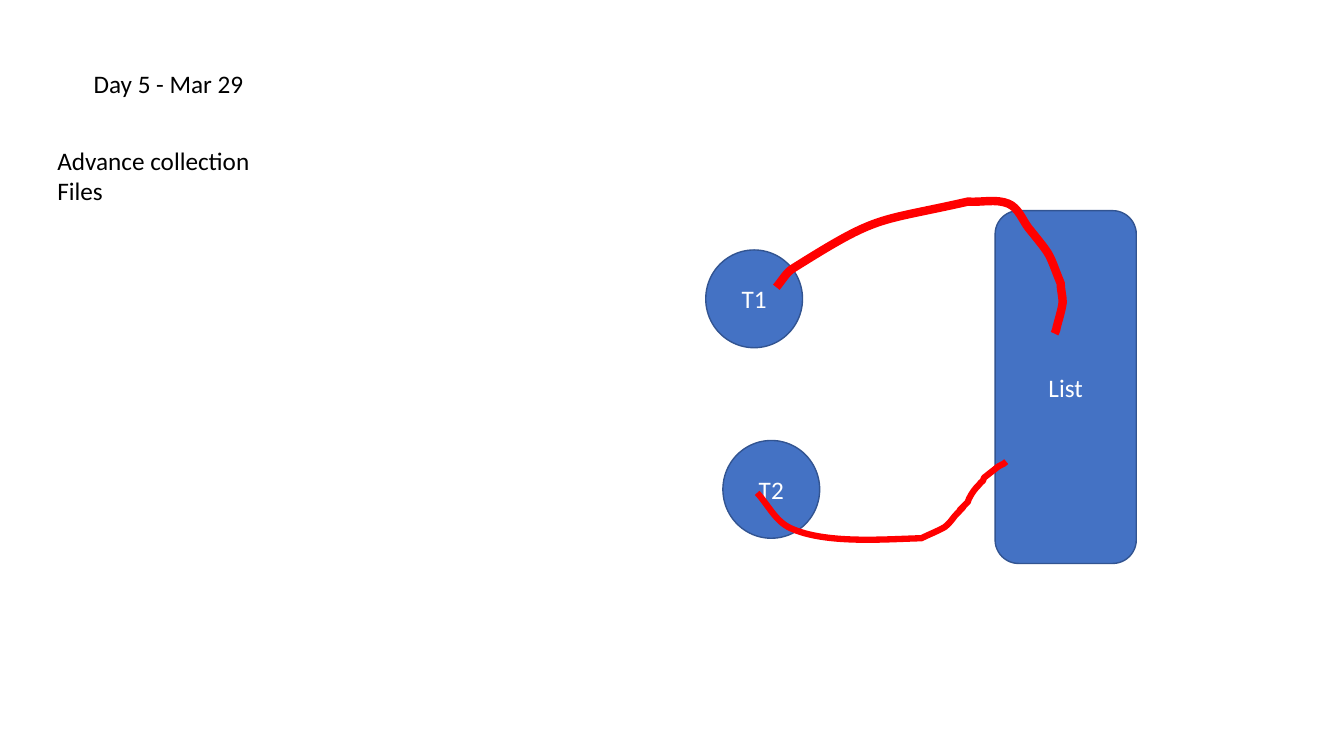
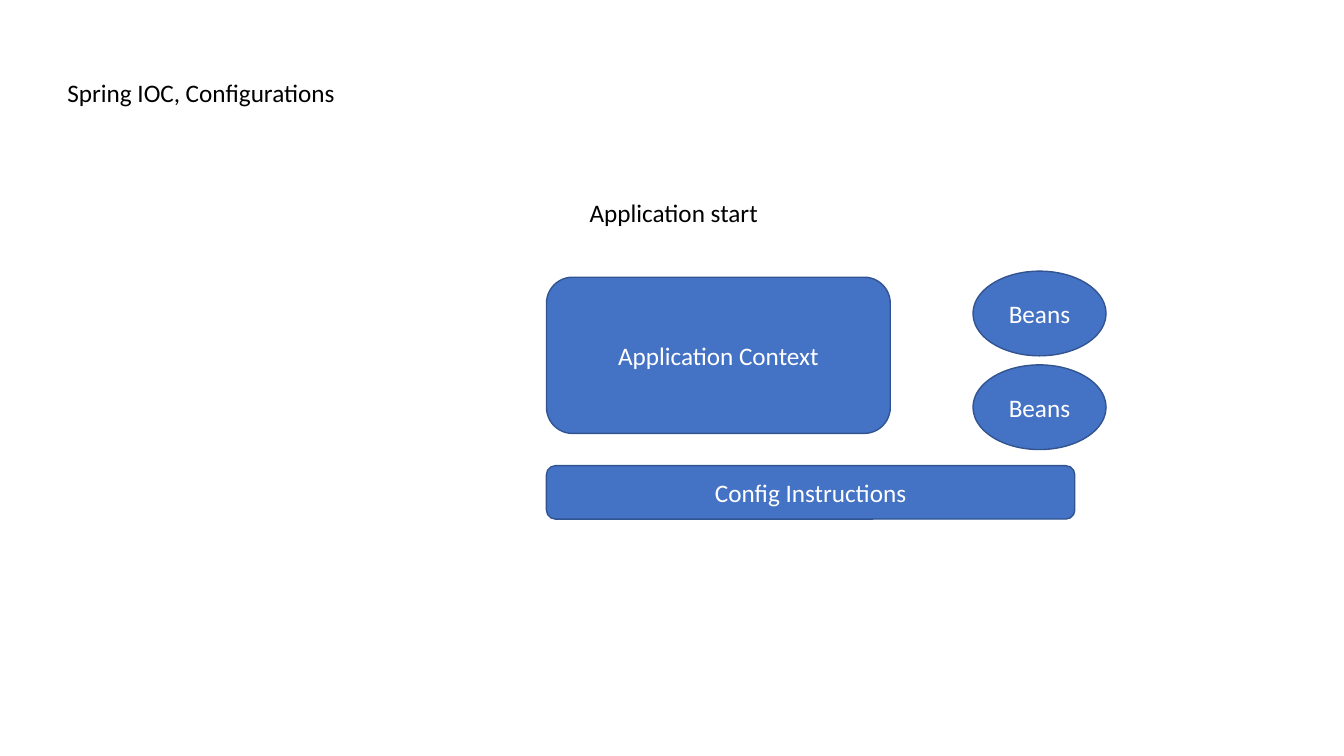
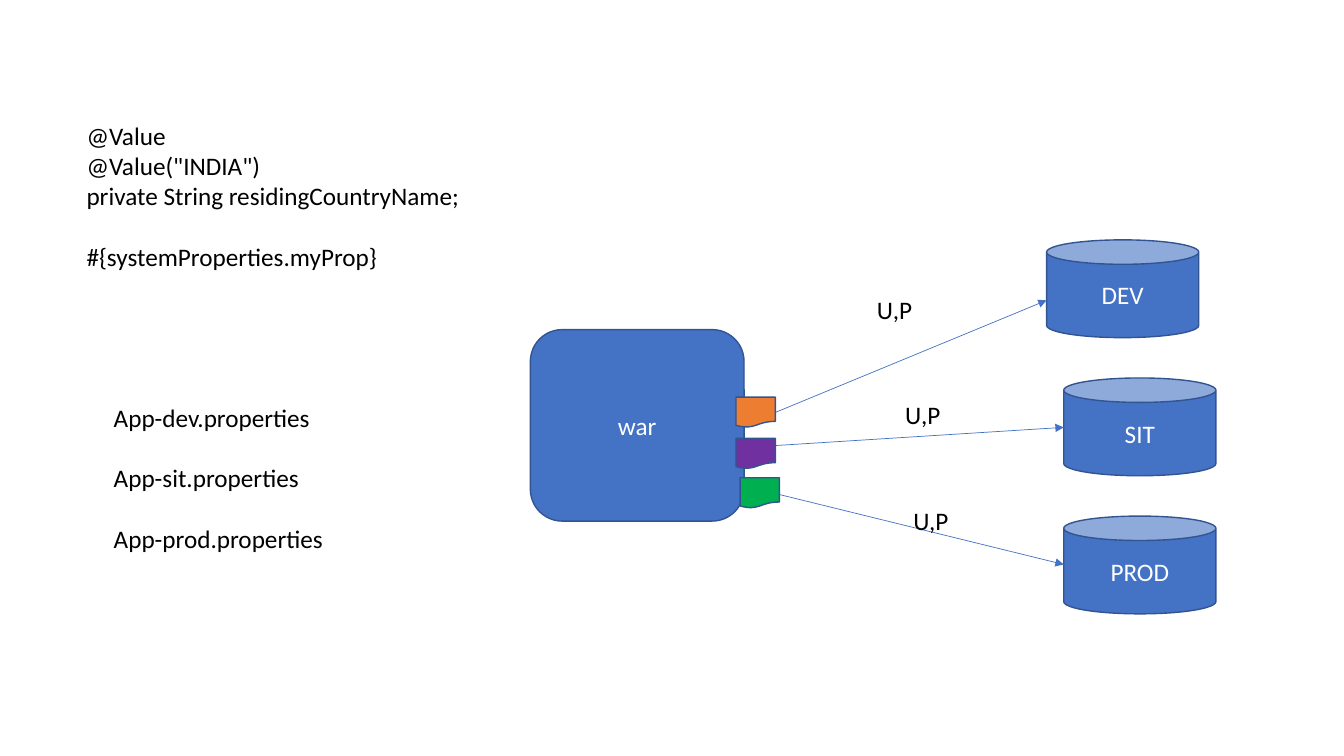
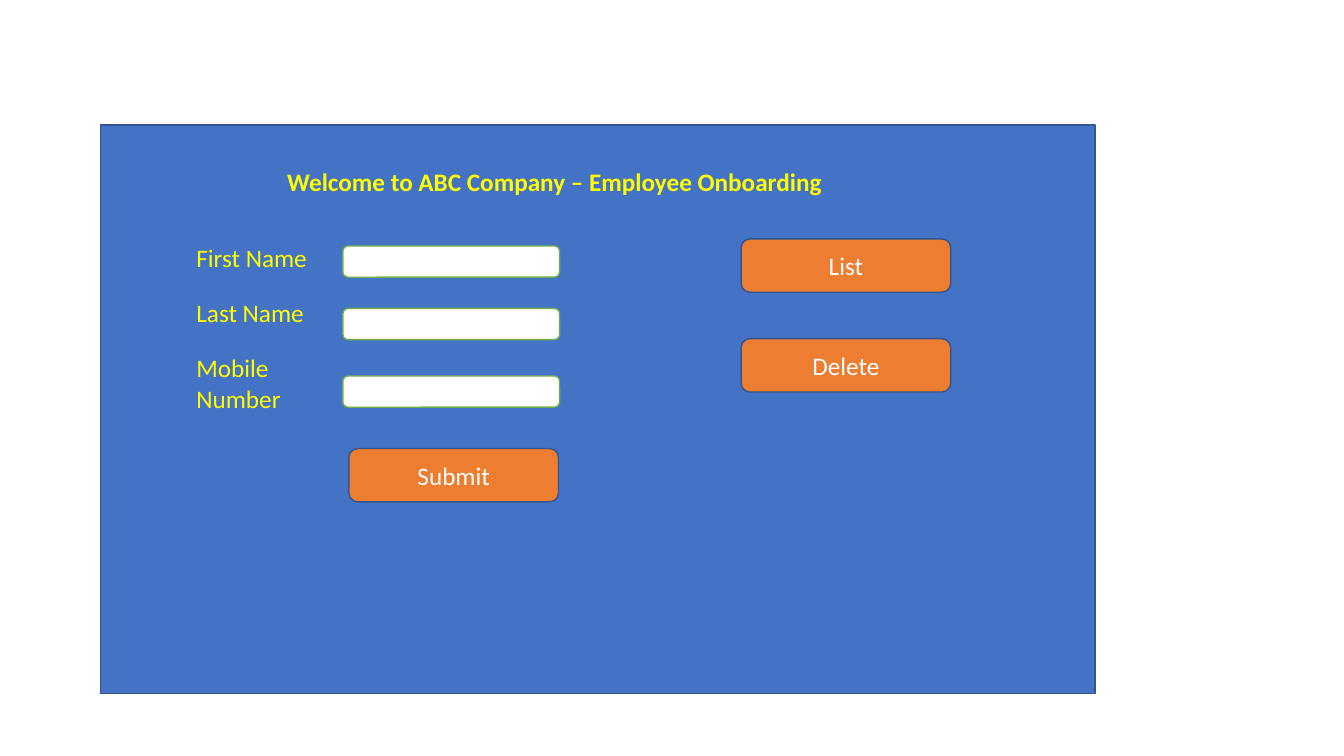
from lxml import etree
from pptx import Presentation
from pptx.dml.color import RGBColor
from pptx.enum.shapes import MSO_CONNECTOR, MSO_SHAPE as SHAPE
from pptx.enum.text import MSO_ANCHOR, MSO_AUTO_SIZE, PP_ALIGN
from pptx.oxml.ns import qn
from pptx.util import Inches, Pt

COLORS = {
    "black": "000000",
    "white": "FFFFFF",
    "blue": "4472C4",
    "edge": "325491",
    "red": "FF0000",
    "orange": "ED7D31",
    "purple": "7030A0",
    "green": "00B050",
    "field": "70AD47",
    "yellow": "FFFF00",
}
FONT = "Calibri"
SIZE = Pt(18)
LINE_GAP = Pt(21.6)

T1_CURVE = [
    (0.7, 0.85),
    (0.76, 0.78), (0.8, 0.7), (0.87, 0.66),
    (1.73, 0.12), (1.67, 0.21), (2.6, 0),
    (2.73, 0.01), (2.88, -0.03), (3, 0.02),
    (3.1, 0.06), (3.14, 0.18), (3.2, 0.26),
    (3.45, 0.57), (3.39, 0.49), (3.52, 0.81),
    (3.52, 0.87), (3.54, 0.94), (3.54, 1),
    (3.53, 1.08), (3.5, 1.17), (3.48, 1.25),
    (3.48, 1.27), (3.46, 1.31), (3.46, 1.31),
]
T2_CURVE = [
    (0.51, 2.89),
    (0.62, 3.01), (0.69, 3.17), (0.84, 3.24),
    (1.19, 3.4), (1.77, 3.35), (2.14, 3.34),
    (2.22, 3.3), (2.3, 3.27), (2.37, 3.23),
    (2.41, 3.2), (2.44, 3.16), (2.47, 3.12),
    (2.7, 2.88), (2.38, 3.2), (2.6, 2.98),
    (2.61, 2.97), (2.61, 2.96), (2.61, 2.95),
    (2.64, 2.89), (2.67, 2.85), (2.71, 2.81),
    (2.72, 2.79), (2.74, 2.78), (2.75, 2.77),
    (2.76, 2.76), (2.76, 2.75), (2.76, 2.74),
    (2.81, 2.7), (2.85, 2.67), (2.9, 2.63),
    (2.97, 2.59), (2.95, 2.61), (2.98, 2.58),
]


def rgb(name):
    return RGBColor.from_string(COLORS[name])


def style_font(p, color, bold=False):
    for r in p.runs:
        r.font.name = FONT
        r.font.size = SIZE
        r.font.bold = bold
        r.font.color.rgb = rgb(color)


def add_text(s, x, y, w, h, lines, color="black", bold=False, gaps=()):
    tf = s.shapes.add_textbox(Inches(x), Inches(y), Inches(w), Inches(h)).text_frame
    tf.word_wrap = True
    tf.auto_size = MSO_AUTO_SIZE.SHAPE_TO_FIT_TEXT
    tf.text = "\n".join(lines)
    for i, p in enumerate(tf.paragraphs):
        style_font(p, color, bold)
        if i in gaps:
            p.space_before = LINE_GAP


def add_box(s, kind, x, y, w, h, text="", fill="blue", line="edge"):
    sp = s.shapes.add_shape(kind, Inches(x), Inches(y), Inches(w), Inches(h))
    sp.shadow.inherit = False
    sp.fill.solid()
    sp.fill.fore_color.rgb = rgb(fill)
    sp.line.color.rgb = rgb(line)
    sp.line.width = Pt(1)
    if text:
        tf = sp.text_frame
        tf.text = text
        tf.vertical_anchor = MSO_ANCHOR.MIDDLE
        p = tf.paragraphs[0]
        p.alignment = PP_ALIGN.CENTER
        style_font(p, "white")


def add_arrow(s, x1, y1, x2, y2):
    c = s.shapes.add_connector(
        MSO_CONNECTOR.STRAIGHT, Inches(x1), Inches(y1), Inches(x2), Inches(y2))
    c.line.color.rgb = rgb("blue")
    c.line.width = Pt(0.5)
    etree.SubElement(c.line._get_or_add_ln(), qn("a:tailEnd"), type="triangle")
    etree.SubElement(c._element.spPr, qn("a:effectLst"))


def add_curve(s, x, y, knots, width):
    points = [(Inches(x + px), Inches(y + py)) for px, py in knots]
    builder = s.shapes.build_freeform(*points[0], scale=1.0)
    builder.add_line_segments(points[3::3], close=False)
    sp = builder.convert_to_shape()
    for i, segment in enumerate(list(sp._element.iter(qn("a:lnTo")))):
        segment.tag = qn("a:cubicBezTo")
        for k, (px, py) in enumerate(points[3 * i + 1:3 * i + 3]):
            pt = etree.Element(qn("a:pt"), x=str(px - sp.left), y=str(py - sp.top))
            segment.insert(k, pt)
    sp.shadow.inherit = False
    sp.fill.background()
    sp.line.color.rgb = rgb("red")
    sp.line.width = Pt(width)


def thread_diagram(s, x, y):
    add_box(s, SHAPE.ROUNDED_RECTANGLE, x + 2.87, y + 0.09, 1.4, 3.5, "List")
    threads = [("T1", 0, 0.48, T1_CURVE, 6), ("T2", 0.17, 2.37, T2_CURVE, 4.5)]
    for name, dx, dy, knots, width in threads:
        add_box(s, SHAPE.OVAL, x + dx, y + dy, 0.96, 0.97, name)
        add_curve(s, x, y, knots, width)


def context_diagram(s, x, y):
    add_box(s, SHAPE.ROUNDED_RECTANGLE, x, y + 2.71, 5.24, 0.53, "Config Instructions")
    add_box(s, SHAPE.ROUNDED_RECTANGLE, x, y + 0.84, 3.41, 1.55, "Application Context")
    for i in range(2):
        add_box(s, SHAPE.OVAL, x + 4.23, y + 0.78 + i * 0.93, 1.32, 0.84, "Beans")
    add_text(s, x + 0.33, y, 4.9, 0.4, ["Application start"])


def deployment_diagram(s, x, y):
    add_box(s, SHAPE.ROUNDED_RECTANGLE, x, y + 0.89, 2.12, 1.9, "war")
    databases = [
        ("DEV", 5.12, 1.84, 0.6, (3.34, 0.49)),
        ("SIT", 5.29, 2.06, 1.86, (3.62, 1.53)),
        ("PROD", 5.29, 2.44, 3.22, (3.7, 2.58)),
    ]
    for i, (name, dx, start, end, (label_x, label_y)) in enumerate(databases):
        add_box(s, SHAPE.CAN, x + dx, y + i * 1.37, 1.51, 0.97, name)
        add_arrow(s, x + 2.12, y + start, x + dx, y + end)
        add_text(s, x + label_x, y + label_y, 1.14, 0.4, ["U,P"])
    files = [("orange", 2.04, 1.56), ("purple", 2.04, 1.97), ("green", 2.08, 2.36)]
    for fill, dx, dy in files:
        add_box(s, SHAPE.FLOWCHART_DOCUMENT, x + dx, y + dy, 0.39, 0.3, fill=fill)


def onboarding_form(s, x, y, w, h):
    add_box(s, SHAPE.RECTANGLE, x, y, w, h)
    add_text(s, x + 1.75, y + 0.36, 6.95, 0.4,
             ["Welcome to ABC Company – Employee Onboarding"], "yellow", True)
    fields = [("First Name", 0.4, 1.2), ("Last Name", 0.4, 1.82), ("Mobile Number", 0.71, 2.49)]
    for i, (label, height, dy) in enumerate(fields):
        add_text(s, x + 0.85, y + 1.11 + i * 0.55, 1.54, height, [label], "yellow")
        add_box(s, SHAPE.ROUNDED_RECTANGLE, x + 2.4, y + dy, 2.15, 0.31,
                fill="white", line="field")
    buttons = [("Submit", 2.46, 3.21), ("List", 6.35, 1.13), ("Delete", 6.35, 2.12)]
    for label, dx, dy in buttons:
        add_box(s, SHAPE.ROUNDED_RECTANGLE, x + dx, y + dy, 2.08, 0.53, label, "orange")


def collections_slide(s):
    add_text(s, 0.83, 0.63, 4.89, 0.4, ["Day 5 - Mar 29"])
    add_text(s, 0.47, 1.39, 5.99, 0.71, ["Advance collection", "Files"])
    thread_diagram(s, 7, 2)


def spring_slide(s):
    add_text(s, 0.57, 0.72, 4.71, 0.41, ["Spring IOC, Configurations"])
    context_diagram(s, 5.42, 1.91)


def properties_slide(s):
    add_text(s, 0.76, 1.14, 6.92, 1.62, [
        "@Value",
        '@Value("INDIA")',
        "private String residingCountryName;",
        "#{systemProperties.myProp}",
    ], gaps=(3,))
    deployment_diagram(s, 5.26, 2.38)
    add_text(s, 1.03, 3.94, 4.06, 1.92,
             [f"App-{env}.properties" for env in ("dev", "sit", "prod")], gaps=(1, 2))


def form_slide(s):
    onboarding_form(s, 1, 1.24, 9.86, 5.64)


def main():
    prs = Presentation()
    prs.slide_width = Inches(13.33)
    prs.slide_height = Inches(7.5)
    for build in (collections_slide, spring_slide, properties_slide, form_slide):
        build(prs.slides.add_slide(prs.slide_layouts[6]))
    prs.save("out.pptx")


if __name__ == "__main__":
    main()
